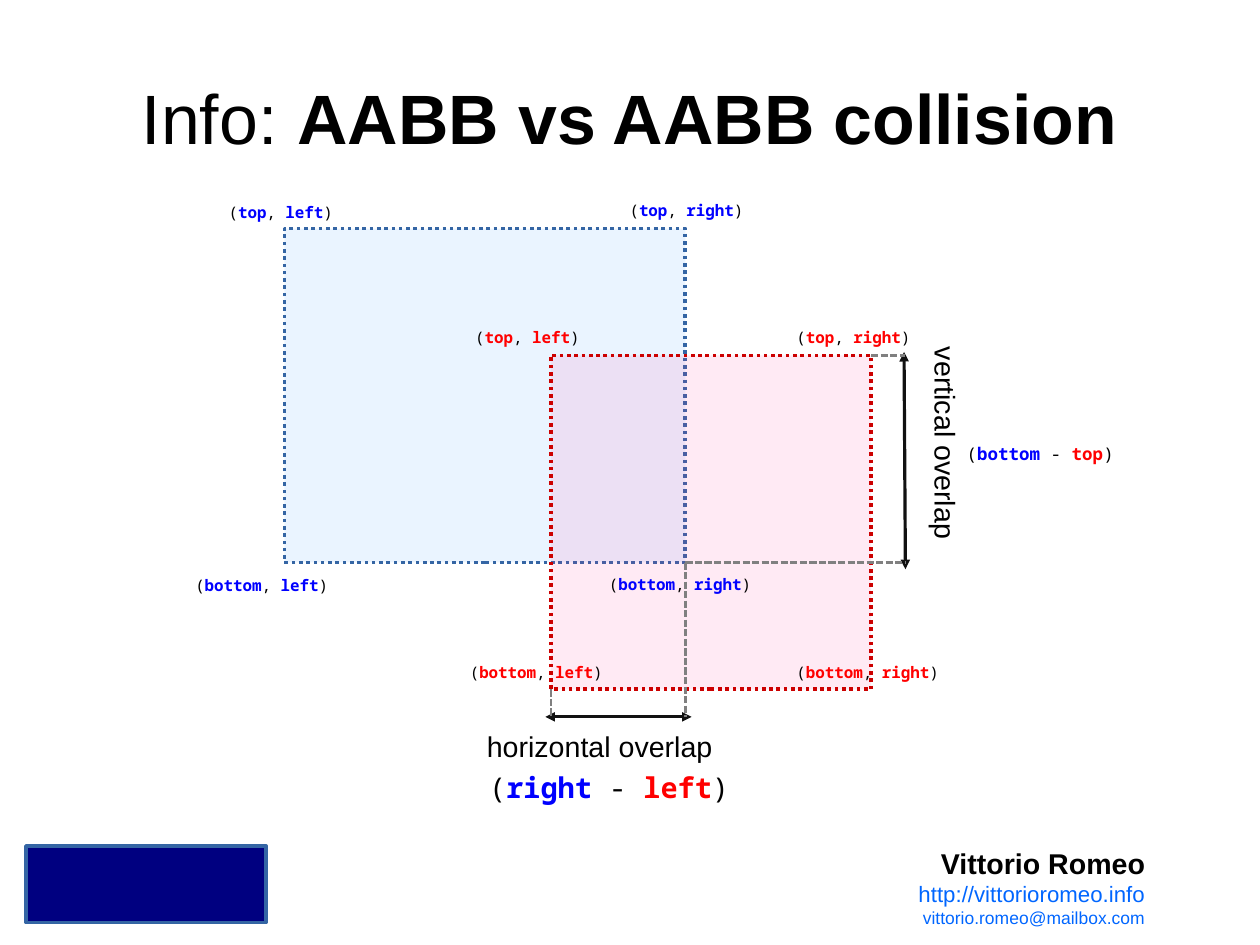
from pptx import Presentation
from pptx import util as u
from pptx.dml.color import RGBColor
from pptx.enum import dml, shapes, text
from pptx.oxml.ns import qn
from lxml import etree

BLACK, BLUE, RED = "000000", "0000FF", "FF0000"
MONO = "Noto Sans Mono"

show = Presentation()
show.slide_width, show.slide_height = u.Cm(28), u.Cm(21)
slide = show.slides.add_slide(show.slide_layouts[6])
rgb = RGBColor.from_string


def write(place, lines, face="Arial", align="LEFT", **frame):
    """Add a text box; each line is a list of (words, size, colour, bold)."""
    box = slide.shapes.add_textbox(*map(u.Cm, place))
    for key, val in {"word_wrap": True, **frame}.items():
        setattr(box.text_frame, key, val)
    for i, line in enumerate(lines):
        par = box.text_frame.add_paragraph() if i else box.text_frame.paragraphs[0]
        par.alignment = text.PP_ALIGN[align]
        for words, size, hue, bold in line:
            run = par.add_run()
            run.text = words
            run.font.color.rgb = rgb(hue)
            for key, val in {"name": face, "size": u.Pt(size), "bold": bold}.items():
                setattr(run.font, key, val)
    return box


def pair(place, size, first, mark, second):
    """Add a bracketed pair of coloured words in monospace."""
    parts = [("(", BLACK), first, (mark, BLACK), second, (")", BLACK)]
    write(place, [[(word, size, hue, hue != BLACK) for word, hue in parts]], MONO)


# Footer: plate and author
write((20.14, 18.67, 5.56, 1.96), [
    [("Vittorio Romeo", 18, BLACK, True)],
    [("http://vittorioromeo.info", 14, "0066FF", False)],
    [("vittorio.romeo@mailbox.com", 11, "0066FF", False)],
], align="RIGHT", word_wrap=False)

# Title
write((1.4, 0.84, 25.2, 3.5),
      [[("Info: ", 44, BLACK, False), ("AABB vs AABB collision", 44, BLACK, True)]],
      align="CENTER", vertical_anchor=text.MSO_ANCHOR.MIDDLE,
      margin_left=0, margin_right=0, margin_top=0, margin_bottom=0)

# Plate and the two overlapping boxes
left, top, right, low = 12.24, 7.9, 15.23, 12.5
edge, base = 19.36, 15.32
for place, fill, line, clear in [
    ((0.58, 18.8, 5.33, 1.7), "000080", "3465A4", False),
    ((6.32, 5.08, right - 6.32, low - 5.08), "3399FF", "3465A4", True),
    ((left, top, edge - left, base - top), "FF3399", "CC0000", True),
]:
    rect = slide.shapes.add_shape(shapes.MSO_SHAPE.RECTANGLE, *map(u.Cm, place))
    rect.shadow.inherit = False
    rect.fill.solid()
    rect.fill.fore_color.rgb = rgb(fill)
    rect.line.color.rgb = rgb(line)
    rect.line.width = u.Pt(2.3)
    if clear:
        rect.line.dash_style = dml.MSO_LINE.ROUND_DOT
        tint = rect.fill._xPr.find(qn("a:solidFill"))[0]
        etree.SubElement(tint, qn("a:alpha"), val="10000")

# Overlap arrows, then dashed guides
for ends, arrow in [
    ((12.12, 15.93, 15.37, 15.93), True),
    ((20.09, 7.82, 20.12, 12.65), True),
    ((left, base, left, 15.93), False),
    ((right, low, right, 15.93), False),
    ((right, low, 20.12, low), False),
    ((edge, top, 20.12, top), False),
]:
    link = slide.shapes.add_connector(shapes.MSO_CONNECTOR.STRAIGHT, *map(u.Cm, ends))
    link.line.color.rgb = rgb("111111" if arrow else "808080")
    link.line.width = u.Pt(0 if arrow else 1.5)
    if arrow:
        for tip in ("a:headEnd", "a:tailEnd"):
            etree.SubElement(link.line._get_or_add_ln(), qn(tip), type="triangle")
    else:
        link.line.dash_style = dml.MSO_LINE.SQUARE_DOT
    etree.SubElement(link._element.spPr, qn("a:effectLst"))

# Overlap captions
write((10.57, 16.08, 6.43, 1.12), [[("horizontal overlap", 18, BLACK, False)]])
side = write((18.19, 9.68, 5.56, 1.12), [[("vertical overlap", 18, BLACK, False)]])
side.rotation = 90
pair((10.62, 16.99, 6.27, 1.04), 18, ("right", BLUE), " - ", ("left", RED))
pair((21.23, 9.73, 5.36, 0.89), 11, ("bottom", BLUE), " - ", ("top", RED))

# Corner labels
for hue, spots in [
    (BLUE, [(4.83, 4.37), (13.74, 4.34), (4.09, 12.67), (13.28, 12.65)]),
    (RED, [(10.31, 7.16), (17.45, 7.16), (10.19, 14.6), (17.45, 14.6)]),
]:
    names = [(v, h) for v in ("top", "bottom") for h in ("left", "right")]
    for (x, y), (v, h) in zip(spots, names):
        pair((x, y, 4.17, 0.71), 10, (v, hue), ", ", (h, hue))

show.save("out.pptx")
